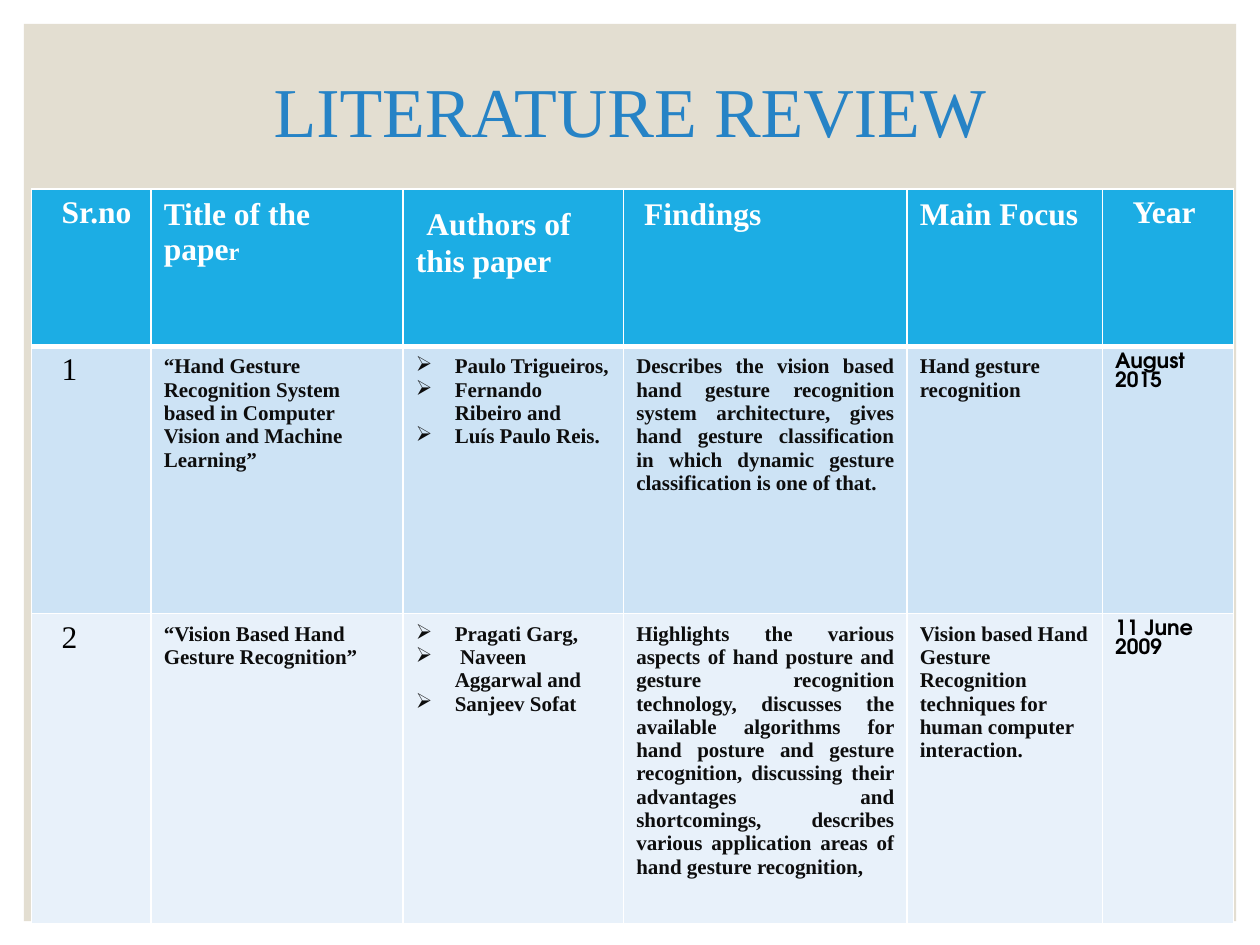
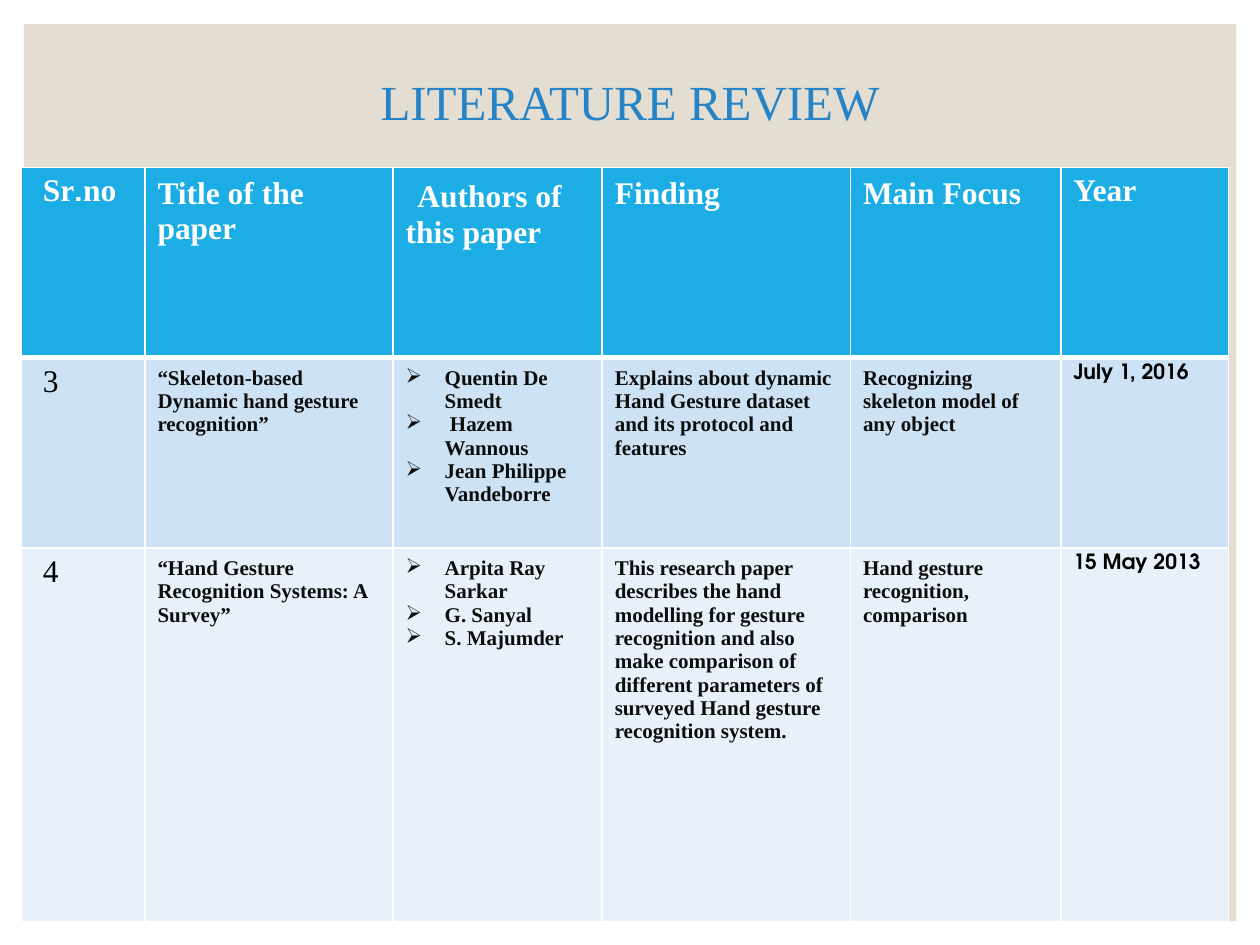
from lxml import etree
from pptx import Presentation
from pptx import util as u
from pptx.dml.color import RGBColor
from pptx.enum import shapes, text
from pptx.oxml.ns import qn

SERIF, SANS = "Times New Roman", "TeX Gyre Adventor"
SAND, BLUE, WHITE, BLACK, INK = "E3DED1", "2683C6", "FFFFFF", "000000", "0D0D0D"
HEAD, BANDS = "1CADE4", ("CDE3F5", "E8F1FA")
NUM, PAPER, NAMES, FIND, FOCUS, YEAR = range(6)


def color(code):
    return RGBColor.from_string(code)


def add_run(para, words, size, code, font=SERIF, bold=False):
    run = para.add_run()
    run.text = words
    run.font.size = u.Pt(size)
    run.font.name = font
    run.font.bold = bold
    run.font.color.rgb = color(code)


def add_bullet(para):
    props = para._p.get_or_add_pPr()
    props.set("marL", str(u.Inches(0.31)))
    props.set("indent", str(-u.Inches(0.31)))
    etree.SubElement(props, qn("a:buChar")).set("char", "➢")


def style_cell(cell, col, fill, base, pad):
    """White edges (thicker below the header), fill and margins."""
    props = cell._tc.get_or_add_tcPr()
    for side in "LRTB":
        width = 3 if side + base == "Bhead" or side + base == "Tfirst" else 1
        line = etree.SubElement(props, qn("a:ln" + side), w=str(u.Pt(width)))
        solid = etree.SubElement(line, qn("a:solidFill"))
        etree.SubElement(solid, qn("a:srgbClr")).set("val", WHITE)
    cell.fill.solid()
    cell.fill.fore_color.rgb = color(fill)
    cell.margin_left = u.Inches(pad)
    cell.margin_right = u.Inches(0.1)
    edge = 0.05 if col in (NUM, YEAR) else 0.07
    cell.margin_top = cell.margin_bottom = u.Inches(edge)


def fill_head(cell, runs):
    """Header runs are (words, size, font)."""
    for words, size, font in runs:
        add_run(cell.text_frame.paragraphs[0], words, size, WHITE, font, True)


def fill_body(cell, col, words, justify):
    frame = cell.text_frame
    for i, part in enumerate(words if col == NAMES else [words]):
        para = frame.add_paragraph() if i else frame.paragraphs[0]
        if col == NAMES:
            add_bullet(para)
        if col == FIND and justify:
            para.alignment = text.PP_ALIGN.JUSTIFY
        if col == NUM:
            add_run(para, part, 18, BLACK)
        elif col == YEAR:
            add_run(para, part, 12, BLACK, SANS, True)
        else:
            add_run(para, part, 12, INK, bold=True)


def add_grid(slide, box, cols, rows, head, papers, pads, justify):
    """Paper table; pads maps a column to (header, body) left margins."""
    frame = slide.shapes.add_table(len(rows), len(cols), *map(u.Inches, box))
    grid = frame.table
    grid.first_row = grid.horz_banding = False
    for part, width in zip(grid.columns, cols):
        part.width = u.Inches(width)
    for part, height in zip(grid.rows, rows):
        part.height = u.Inches(height)
    for col, runs in enumerate(head):
        cell = grid.cell(0, col)
        style_cell(cell, col, HEAD, "head", pads.get(col, (0.1, 0.1))[0])
        fill_head(cell, runs)
    for row, paper in enumerate(papers, 1):
        for col, words in enumerate(paper):
            cell = grid.cell(row, col)
            base = "first" if row == 1 else "rest"
            pad = pads.get(col, (0.1, 0.1))[1]
            style_cell(cell, col, BANDS[row - 1], base, pad)
            fill_body(cell, col, words, justify)


def add_panel(slide, box):
    panel = slide.shapes.add_shape(shapes.MSO_SHAPE.RECTANGLE, *map(u.Inches, box))
    panel.shadow.inherit = False
    panel.fill.solid()
    panel.fill.fore_color.rgb = color(SAND)
    panel.line.fill.background()


def add_title(slide, box, size):
    frame = slide.shapes.add_textbox(*map(u.Inches, box)).text_frame
    frame.word_wrap = True
    frame.vertical_anchor = text.MSO_ANCHOR.MIDDLE
    para = frame.paragraphs[0]
    para.alignment = text.PP_ALIGN.CENTER
    para.line_spacing = 0.9
    add_run(para, "LITERATURE REVIEW", size, BLUE)


def add_review(deck, title, size, **grid):
    slide = deck.slides.add_slide(deck.slide_layouts[6])
    add_panel(slide, (0.19, 0.19, 9.62, 7.12))
    add_title(slide, title, size)
    add_grid(slide, **grid)


def plain(words):
    return [(words, 18, SERIF)]


def authors(font):
    return [(" ", 24, font), ("Authors of this paper", 18, SERIF)]


def main():
    deck = Presentation()
    deck.slide_width, deck.slide_height = u.Inches(10), u.Inches(7.5)

    # Papers 1 and 2
    add_review(
        deck, (0.8, 0.33, 8.4, 1.17), 40,
        box=(0.25, 1.5, 9.54, 5.83),
        cols=(0.95, 2, 1.75, 2.25, 1.55, 1.04),
        rows=(1.25, 2.12, 2.46),
        head=[plain("Sr.no"),
              [("Title of the pape", 18, SERIF), ("r", 14, SERIF)],
              authors(SERIF), plain(" Findings"),
              plain("Main Focus"), plain("Year")],
        papers=[
            ("1", "“Hand Gesture Recognition System based in Computer Vision "
             "and Machine Learning”",
             ("Paulo Trigueiros,", "Fernando Ribeiro and", "Luís Paulo Reis."),
             "Describes the vision based hand gesture recognition system "
             "architecture, gives hand gesture classification in which dynamic "
             "gesture classification is one of that.",
             "Hand gesture recognition", "August 2015"),
            ("2", "“Vision Based Hand Gesture Recognition”",
             ("Pragati Garg,", " Naveen Aggarwal and", "Sanjeev Sofat"),
             "Highlights the various aspects of hand posture and gesture "
             "recognition technology, discusses the available algorithms for "
             "hand posture and gesture recognition, discussing their advantages "
             "and shortcomings, describes various application areas of hand "
             "gesture recognition,",
             "Vision based Hand Gesture Recognition techniques for human "
             "computer interaction.", "11 June 2009"),
        ],
        pads={NUM: (0.24, 0.24), YEAR: (0.24, 0.1)}, justify=True)

    # Papers 3 and 4
    add_review(
        deck, (0.8, 0.33, 8.4, 1), 28,
        box=(0.17, 1.33, 9.58, 6),
        cols=(0.98, 1.97, 1.66, 1.97, 1.67, 1.33),
        rows=(1.51, 1.51, 2.97),
        head=[[("Sr", 18, SERIF), (".", 18, SANS), ("no", 18, SERIF)],
              plain("Title of the paper"), authors(SANS), plain("Finding"),
              plain("Main Focus"), plain("Year")],
        papers=[
            ("3", "“Skeleton-based Dynamic hand gesture recognition”",
             ("Quentin De Smedt", " Hazem Wannous", "Jean Philippe Vandeborre"),
             "Explains about dynamic Hand Gesture dataset and its protocol and "
             "features",
             "Recognizing skeleton model of any object", "July 1, 2016"),
            ("4", "“Hand Gesture Recognition Systems: A Survey”",
             ("Arpita Ray Sarkar", "G. Sanyal", "S. Majumder"),
             "This research paper describes the hand modelling for gesture "
             "recognition and also make comparison of different parameters of "
             "surveyed Hand gesture recognition system.",
             "Hand gesture recognition, comparison", "15 May 2013"),
        ],
        pads={NUM: (0.17, 0.17)}, justify=False)

    deck.save("out.pptx")


if __name__ == "__main__":
    main()
